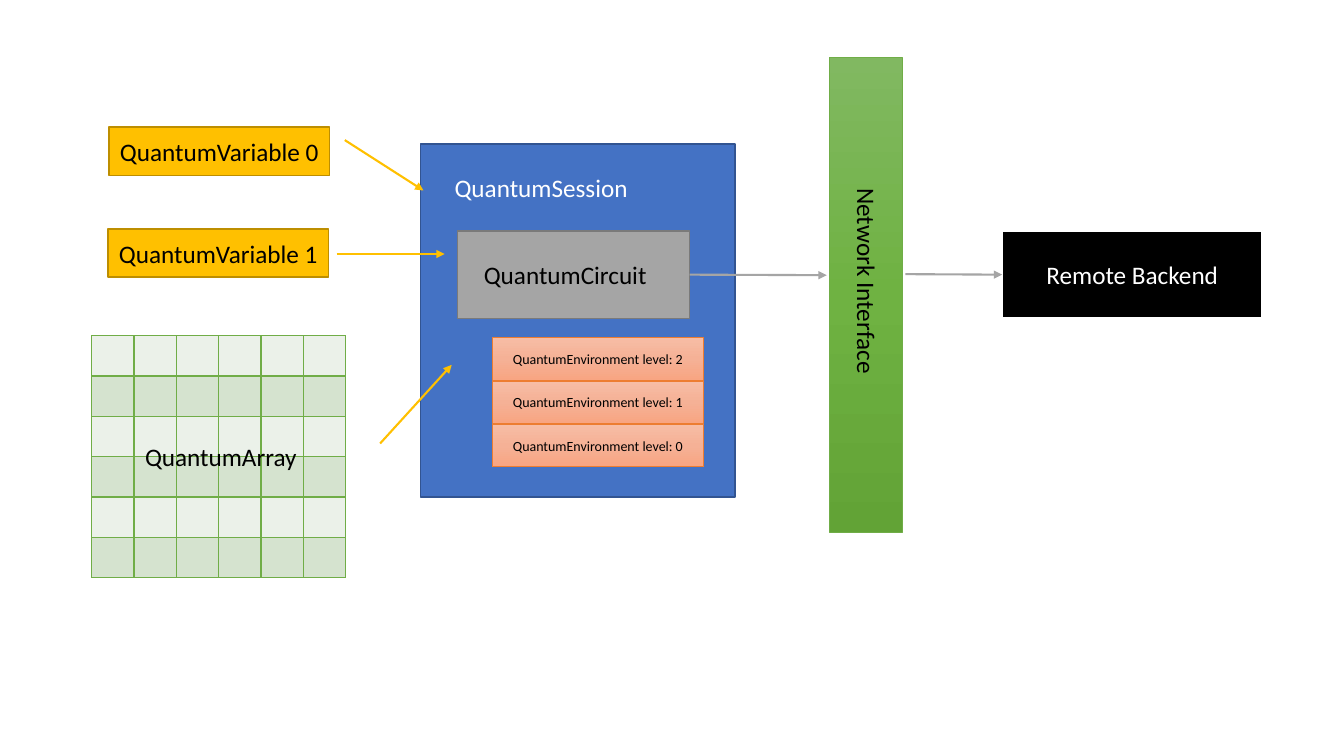
from copy import deepcopy

from pptx import Presentation
from pptx.dml.color import RGBColor
from pptx.enum.shapes import MSO_CONNECTOR, MSO_SHAPE
from pptx.enum.text import MSO_ANCHOR, MSO_AUTO_SIZE, PP_ALIGN
from pptx.oxml import parse_xml
from pptx.oxml.ns import nsdecls, qn
from pptx.util import Emu, Pt

PX = 9144
FONT = "Calibri"
COLORS = {
    "white": "FFFFFF", "black": "000000",
    "session": "4472C4", "session_edge": "325491",
    "circuit": "A5A5A5", "circuit_edge": "7A7A7A",
    "variable": "FFC000", "variable_edge": "BD8E00",
    "environment_edge": "ED7D31", "green": "70AD47",
    "band_light": "EBF1E9", "band_dark": "D5E3CF",
}
GRADIENTS = {
    "environment": ("F7BDA5", "F5B196", "F8A582"),
    "network": ("81B861", "6FB242", "62A336"),
}


def px(*lengths):
    return [Emu(length * PX) for length in lengths]


def rgb(color):
    return RGBColor.from_string(COLORS[color])


def write(frame, text, size, color, align):
    paragraph = frame.paragraphs[0]
    paragraph.text = text
    paragraph.alignment = align
    paragraph.font.name = FONT
    paragraph.font.size = Pt(size)
    paragraph.font.color.rgb = rgb(color)


def paint_gradient(shape, hexes):
    shape.fill.gradient()
    shape.fill.gradient_angle = 270
    stop_list = shape._element.spPr.find(qn("a:gradFill")).find(qn("a:gsLst"))
    stop_list.insert(1, deepcopy(stop_list[0]))
    for stop, position, value in zip(shape.fill.gradient_stops, (0, 0.5, 1), hexes):
        stop.position = position
        stop.color.rgb = RGBColor.from_string(value)


def add_box(slide, bounds, fill, edge, weight=1, text="", size=18, color="black"):
    box = slide.shapes.add_shape(MSO_SHAPE.RECTANGLE, *px(*bounds))
    box.shadow.inherit = False
    if fill in GRADIENTS:
        paint_gradient(box, GRADIENTS[fill])
    else:
        box.fill.solid()
        box.fill.fore_color.rgb = rgb(fill)
    box.line.color.rgb = rgb(edge)
    box.line.width = Pt(weight)
    if text:
        box.text_frame.vertical_anchor = MSO_ANCHOR.MIDDLE
        write(box.text_frame, text, size, color, PP_ALIGN.CENTER)
    return box


def add_label(slide, bounds, text, color="black", rotation=0):
    label = slide.shapes.add_textbox(*px(*bounds))
    label.rotation = rotation
    label.text_frame.word_wrap = True
    label.text_frame.auto_size = MSO_AUTO_SIZE.SHAPE_TO_FIT_TEXT
    write(label.text_frame, text, 18, color, PP_ALIGN.LEFT)


def add_arrow(slide, start, end, color):
    arrow = slide.shapes.add_connector(MSO_CONNECTOR.STRAIGHT, *px(*start, *end))
    arrow.line.color.rgb = rgb(color)
    arrow.line.width = Pt(1.5)
    arrow.line._get_or_add_ln().append(
        parse_xml(f'<a:tailEnd {nsdecls("a")} type="triangle"/>'))
    arrow._element.spPr.append(parse_xml(f'<a:effectLst {nsdecls("a")}/>'))
    return arrow


def add_array_grid(slide, left, top, count, column_width, row_height):
    bounds = px(left, top, count * column_width, count * row_height)
    grid = slide.shapes.add_table(count, count, *bounds).table
    grid.first_row = False
    grid.horz_banding = False
    for column in grid.columns:
        column.width = Emu(column_width * PX)
    for index, row in enumerate(grid.rows):
        row.height = Emu(row_height * PX)
        for cell in row.cells:
            cell.margin_top = cell.margin_bottom = 0
            cell.fill.solid()
            cell.fill.fore_color.rgb = rgb("band_dark" if index % 2 else "band_light")
            add_borders(cell, "green")


def add_borders(cell, color):
    properties = cell._tc.get_or_add_tcPr()
    for order, side in enumerate("LRTB"):
        properties.insert(order, parse_xml(
            f'<a:ln{side} {nsdecls("a")} w="{Pt(1)}"><a:solidFill>'
            f'<a:srgbClr val="{COLORS[color]}"/></a:solidFill></a:ln{side}>'))


def main():
    deck = Presentation()
    deck.slide_width, deck.slide_height = px(1333, 750)
    slide = deck.slides.add_slide(deck.slide_layouts[6])

    add_box(slide, (417, 143, 312, 350), "session", "session_edge")
    add_label(slide, (441, 166, 212, 40), "QuantumSession", "white")
    circuit = add_box(slide, (454, 229, 230, 87), "circuit", "circuit_edge")
    add_label(slide, (470, 252, 198, 40), "QuantumCircuit")

    for number, (left, top) in enumerate([(108, 126), (107, 227)]):
        add_box(slide, (left, top, 219, 48), "variable", "variable_edge",
                text=f"QuantumVariable {number}")
    for start, end in [((342, 139), (420, 189)),
                       ((334, 252), (441, 252)),
                       ((377, 440), (448, 362))]:
        add_arrow(slide, start, end, "variable")

    for level in range(3):
        add_box(slide, (488, 421 - 43 * level, 210, 42), "environment",
                "environment_edge", 0.5, f"QuantumEnvironment level: {level}", 10)

    add_array_grid(slide, 91, 333, 6, 42, 40)
    add_label(slide, (134, 433, 206, 40), "QuantumArray")

    add_box(slide, (823, 57, 72, 471), "network", "green", 0.5)
    to_network = add_arrow(slide, (684, 273), (820, 273), "circuit")
    to_network.begin_connect(circuit, 3)
    add_label(slide, (756, 261, 208, 40), "Network Interface", rotation=90)

    backend = add_box(slide, (994, 229, 258, 87), "black", "white", 1.5,
                      "Remote Backend", color="white")
    to_backend = add_arrow(slide, (898, 272), (994, 272), "circuit")
    to_backend.end_connect(backend, 1)

    deck.save("out.pptx")


if __name__ == "__main__":
    main()
